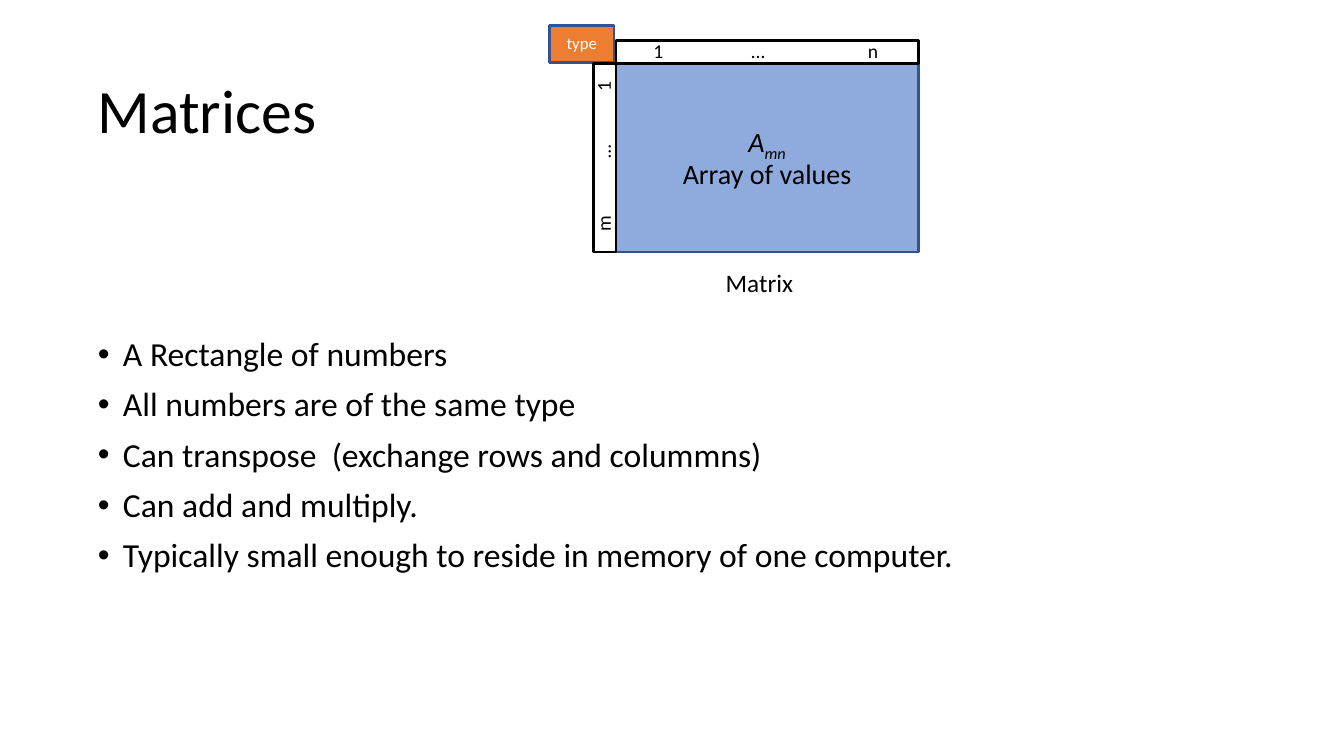
from pptx import Presentation
from pptx.dml.color import RGBColor
from pptx.enum.shapes import MSO_SHAPE as Shape
from pptx.enum.text import MSO_ANCHOR as Anchor, MSO_AUTO_SIZE as AutoSize, PP_ALIGN as Align
from pptx.oxml.ns import qn
from pptx.util import Inches, Pt
from lxml.etree import SubElement

WIDTH, HEIGHT = Inches(13.33), Inches(7.5)
BLACK, WHITE, BLUE, ORANGE, NAVY = "000000", "FFFFFF", "8FAADC", "ED7D31", "325491"
BULLETS = [
    "A Rectangle of numbers",
    "All numbers are of the same type",
    "Can transpose  (exchange rows and colummns)",
    "Can add and multiply.",
    "Typically small enough to reside in memory of one computer.",
]


def color(value):
    return RGBColor.from_string(value)


def across(percent):
    return round(WIDTH * percent / 100)


def down(percent):
    return round(HEIGHT * percent / 100)


def area(left, top, width, height):
    return across(left), down(top), across(width), down(height)


def format_text(frame, size, font_color=BLACK, align=Align.LEFT, anchor=Anchor.MIDDLE):
    frame.word_wrap = True
    frame.vertical_anchor = anchor
    for paragraph in frame.paragraphs:
        paragraph.alignment = align
        paragraph.line_spacing = 0.9
        for run in paragraph.runs:
            run.font.name = "Calibri"
            run.font.size = Pt(size)
            run.font.color.rgb = color(font_color)


def set_margins(frame, margin):
    frame.margin_left = frame.margin_right = margin
    frame.margin_top = frame.margin_bottom = margin


def add_box(shapes, box, fill, line, text, size, font_color=BLACK):
    shape = shapes.add_shape(Shape.RECTANGLE, *box)
    shape.shadow.inherit = False
    shape.fill.solid()
    shape.fill.fore_color.rgb = color(fill)
    shape.line.color.rgb = color(line)
    shape.line.width = Pt(2)
    shape.text_frame.text = text
    format_text(shape.text_frame, size, font_color, Align.CENTER)
    return shape


def add_index_strip(shapes, box, labels, shares):
    text = "".join("\t" + label for label in labels)
    strip = add_box(shapes, box, WHITE, BLACK, text, 14)
    set_margins(strip.text_frame, 0)
    paragraph = strip.text_frame.paragraphs[0]
    paragraph.alignment = Align.LEFT
    tabs = SubElement(paragraph._p.get_or_add_pPr(), qn("a:tabLst"))
    for share in shares:
        SubElement(tabs, qn("a:tab"), pos=str(round(strip.width * share)), algn="ctr")
    return strip


def add_text(shapes, box, text, size, font_color=BLACK):
    frame = shapes.add_textbox(*box).text_frame
    frame.text = text
    format_text(frame, size, font_color, anchor=Anchor.TOP)
    return frame


def add_matrix(slide):
    shapes = slide.shapes.add_group_shape().shapes
    left, top, width, height = area(45.83, 8.4, 22.5, 24.93)
    body = add_box(shapes, (left, top, width, height), BLUE, NAVY, "A\nArray of values", 20)
    symbol = body.text_frame.paragraphs[0]
    subscript = symbol.add_run()
    subscript.text = "mn"
    format_text(body.text_frame, 20, align=Align.CENTER)
    for run in symbol.runs:
        run.font.italic = True
    subscript.font._element.set("baseline", "-25000")

    caption = add_text(shapes, area(53.26, 35.2, 7.65, 5.47), "Matrix", 18)
    caption.auto_size = AutoSize.SHAPE_TO_FIT_TEXT
    add_box(shapes, area(40.89, 3.33, 4.8, 4.93), ORANGE, NAVY, "type", 12, WHITE)

    depth = down(3)
    add_index_strip(shapes, (left, top - depth, width, depth), "1…n", (0.14, 0.47, 0.85))
    turned = (left - (height + depth) // 2, top + (height - depth) // 2, height, depth)
    rows = add_index_strip(shapes, turned, "m…1", (0.15, 0.53, 0.88))
    rows.rotation = 270


def add_title(slide, text):
    title = slide.shapes.title
    title.left, title.top, title.width, title.height = area(6.9, 5.33, 20.63, 19.33)
    title.text_frame.text = text
    title.text_frame.auto_size = AutoSize.NONE
    set_margins(title.text_frame, Inches(0.05))
    format_text(title.text_frame, 44)


def add_bullets(slide, lines):
    frame = add_text(slide.shapes, area(6.9, 44, 78.39, 52.67), "\n".join(lines), 24, "000101")
    set_margins(frame, Inches(0.05))
    for paragraph in frame.paragraphs:
        paragraph.space_before = Pt(10)
        properties = paragraph._p.get_or_add_pPr()
        properties.set("marL", str(Inches(0.25)))
        properties.set("indent", str(-Inches(0.25)))
        SubElement(properties, qn("a:buFont"), typeface="Arial")
        SubElement(properties, qn("a:buChar"), char="•")


def main():
    presentation = Presentation()
    presentation.slide_width, presentation.slide_height = WIDTH, HEIGHT
    slide = presentation.slides.add_slide(presentation.slide_layouts.get_by_name("Title Only"))
    add_title(slide, "Matrices")
    add_bullets(slide, BULLETS)
    add_matrix(slide)
    presentation.save("out.pptx")


main()
